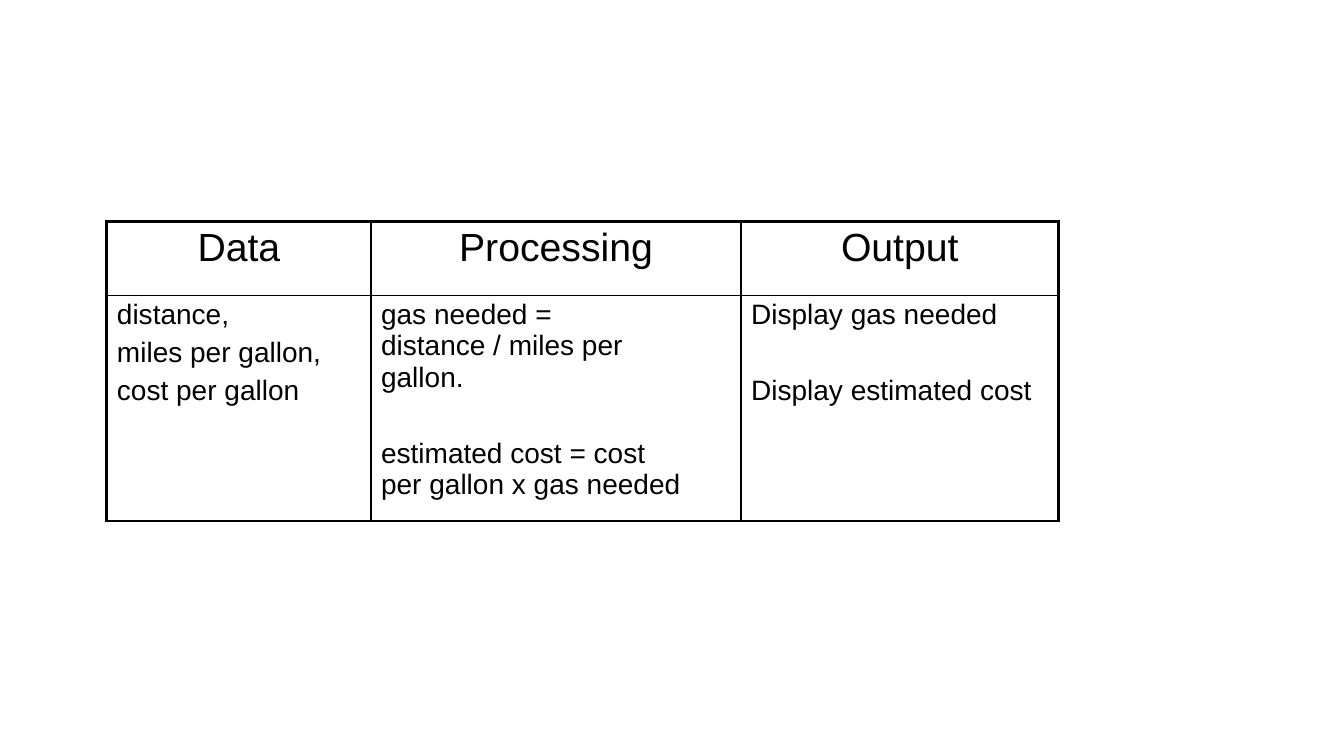
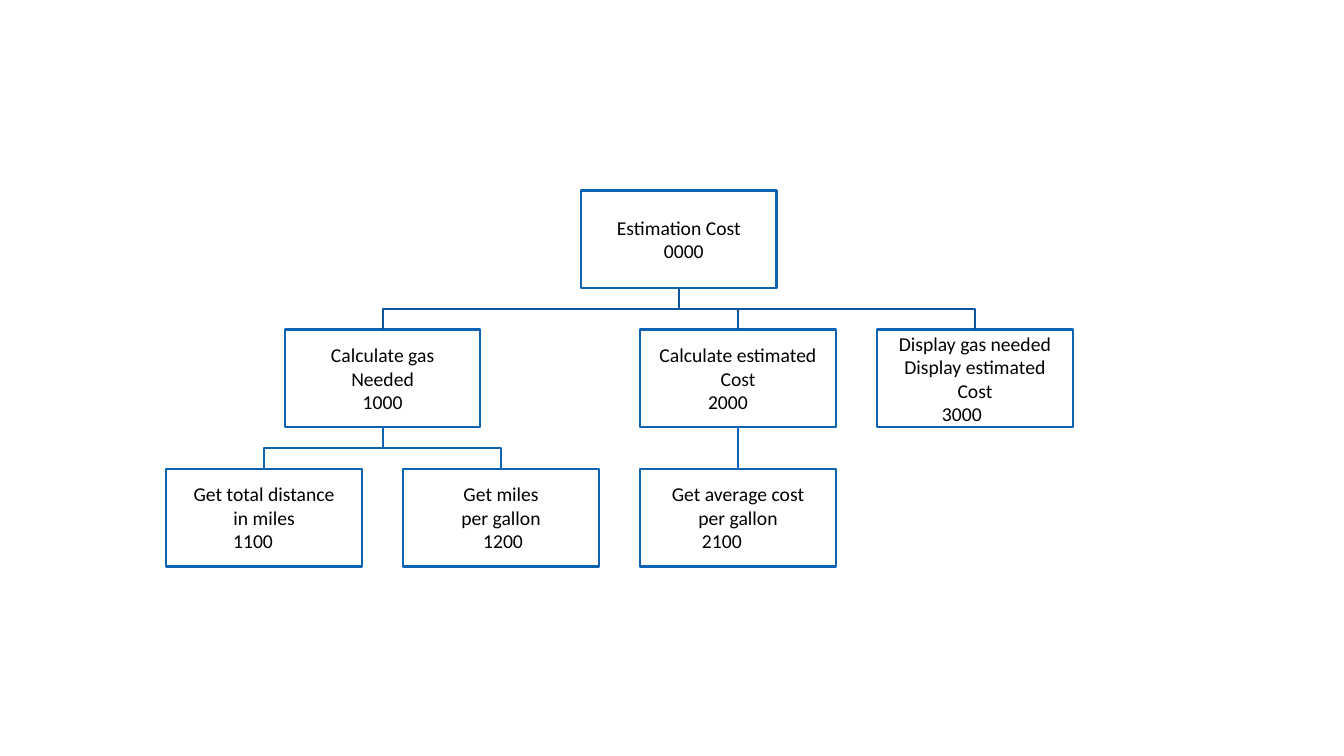
from dataclasses import dataclass
from lxml import etree
from pptx import Presentation
from pptx.dml.color import RGBColor
from pptx.enum.shapes import MSO_CONNECTOR, MSO_SHAPE
from pptx.enum.text import MSO_ANCHOR, PP_ALIGN
from pptx.oxml.ns import qn
from pptx.util import Emu, Inches, Pt

RECT, STRAIGHT = MSO_SHAPE.RECTANGLE, MSO_CONNECTOR.STRAIGHT
MIDDLE = MSO_ANCHOR.MIDDLE
LEFT, CENTER = PP_ALIGN.LEFT, PP_ALIGN.CENTER
BLACK, BLUE, DARK_BLUE = "000000", "0C63B3", "09569D"
BLANK_LAYOUT = 6

# Chart grid: places are columns and rows of equal boxes
BOX_W, BOX_H, GAP = 1.94, 0.97, 0.41
GRID_LEFT, GRID_TOP = 1.65, 1.89
CHART_LINE = 1.56

# Table
COL_WIDTHS, ROW_HEIGHTS = (2.62, 3.67, 3.15), (0.73, 2.24)
OUTER, INNER = 2.25, 1
HEADERS = ("Data", "Processing", "Output")


@dataclass(frozen=True)
class Column:
    """Body cell: its paragraphs and the space between them."""
    items: tuple[str, ...]
    gap: float


@dataclass(frozen=True)
class Module:
    """Box of the hierarchy chart; shift moves its number off centre."""
    label: str
    code: str
    col: float
    row: int
    shift: float = 0
    parent: str = ""


BODY = (
    Column(("distance,", "miles per gallon,", "cost per gallon"), 4.8),
    Column(("gas needed =\vdistance / miles per\vgallon.",
            "estimated cost = cost\vper gallon x gas needed"), 32),
    Column(("Display gas needed", "Display estimated cost"), 32),
)
MODULES = (
    Module("Estimation Cost", "0000", 1.75, 0, 0.05),
    Module("Calculate gas\vNeeded", "1000", 0.5, 1, 0, "0000"),
    Module("Calculate estimated\vCost", "2000", 2, 1, -0.1, "0000"),
    Module("Display gas needed\vDisplay estimated\vCost", "3000", 3, 1, -0.13, "0000"),
    Module("Get total distance\vin miles", "1100", 0, 2, -0.11, "1000"),
    Module("Get miles\vper gallon", "1200", 1, 2, 0.02, "1000"),
    Module("Get average cost\vper gallon", "2100", 2, 2, -0.16, "2000"),
)


def rgb(color: str) -> RGBColor:
    return RGBColor.from_string(color)


def write(p, text: str, *, size: float, font: str, align=LEFT,
          before: float = 0, left: float = 0, right: float = 0) -> None:
    """Fill a paragraph; a vertical tab in the text is a line break."""
    p.text, p.alignment = text, align
    p.space_before = Pt(before)
    ppr = p._p.get_or_add_pPr()
    ppr.set("marL", str(Inches(left)))
    ppr.set("marR", str(Inches(right)))
    for r in p.runs:
        r.font.size, r.font.name = Pt(size), font
        r.font.color.rgb = rgb(BLACK)


def set_borders(cell, **widths: float) -> None:
    """Give each side (L, R, T, B) a black line."""
    tcpr = cell._tc.get_or_add_tcPr()
    for side, width in widths.items():
        ln = etree.SubElement(tcpr, qn(f"a:ln{side}"), w=str(Pt(width)))
        fill = etree.SubElement(ln, qn("a:solidFill"))
        etree.SubElement(fill, qn("a:srgbClr"), val=BLACK)


def style_line(shape, color: str) -> None:
    shape.line.color.rgb = rgb(color)
    shape.line.width = Pt(CHART_LINE)


def add_ipo_table(s) -> None:
    """Data, processing and output of the program."""
    rows, cols = len(ROW_HEIGHTS), len(COL_WIDTHS)
    table = s.shapes.add_table(rows, cols, Inches(1.06), Inches(2.2),
                               Inches(sum(COL_WIDTHS)), Inches(sum(ROW_HEIGHTS))).table
    table.first_row = table.horz_banding = False
    for col, width in zip(table.columns, COL_WIDTHS):
        col.width = Inches(width)
    for row, height in zip(table.rows, ROW_HEIGHTS):
        row.height = Inches(height)

    # Frame and margins
    for i in range(rows):
        for j in range(cols):
            cell = table.cell(i, j)
            set_borders(cell, L=INNER if j else OUTER,
                        R=INNER if j < cols - 1 else OUTER,
                        T=INNER if i else OUTER,
                        B=INNER if i < rows - 1 else OUTER)
            cell.fill.background()
            cell.margin_left = cell.margin_right = cell.margin_bottom = 0
            cell.margin_top = Inches(0.04)

    # Text
    for j, (header, column) in enumerate(zip(HEADERS, BODY)):
        write(table.cell(0, j).text_frame.paragraphs[0], header,
              size=28, font="Arial", align=CENTER)
        tf = table.cell(1, j).text_frame
        for n, item in enumerate(column.items):
            p = tf.add_paragraph() if n else tf.paragraphs[0]
            write(p, item, size=20, font="Arial", left=0.1,
                  before=column.gap if n else 0)


def add_module(s, m: Module):
    sp = s.shapes.add_shape(RECT, Inches(GRID_LEFT + m.col * (BOX_W + GAP)),
                            Inches(GRID_TOP + m.row * (BOX_H + GAP)),
                            Inches(BOX_W), Inches(BOX_H))
    sp.shadow.inherit = False
    sp.fill.background()
    style_line(sp, BLUE)
    tf = sp.text_frame
    tf.word_wrap, tf.vertical_anchor = True, MIDDLE
    tf.margin_left = tf.margin_right = tf.margin_top = tf.margin_bottom = 0
    write(tf.paragraphs[0], m.label, size=14, font="Calibri", align=CENTER)
    write(tf.add_paragraph(), m.code, size=14, font="Calibri", align=CENTER,
          left=max(2 * m.shift, 0), right=max(-2 * m.shift, 0))
    return sp


def link(s, parent, child, color: str) -> None:
    """Join parent to child: straight when aligned, otherwise by an elbow."""
    x1, y1 = parent.left + parent.width // 2, parent.top + parent.height
    x2, y2 = child.left + child.width // 2, child.top
    if x1 == x2:
        line = s.shapes.add_connector(STRAIGHT, x1, y1, x2, y2)
        line.begin_connect(parent, 2)
        line.end_connect(child, 0)
        etree.SubElement(line._element.spPr, qn("a:effectLst"))
    else:
        middle = Emu((y1 + y2) // 2)
        builder = s.shapes.build_freeform(x1, y1)
        builder.add_line_segments([(x1, middle), (x2, middle), (x2, y2)], close=False)
        line = builder.convert_to_shape()
        line.shadow.inherit = False
        line.fill.background()
    style_line(line, color)


def add_hierarchy(s) -> None:
    boxes = {m.code: add_module(s, m) for m in MODULES}
    for m in MODULES:
        if m.parent:
            link(s, boxes[m.parent], boxes[m.code], DARK_BLUE if m.row == 1 else BLUE)


def main() -> None:
    prs = Presentation()
    prs.slide_width, prs.slide_height = Inches(13.33), Inches(7.5)
    for draw in (add_ipo_table, add_hierarchy):
        draw(prs.slides.add_slide(prs.slide_layouts[BLANK_LAYOUT]))
    prs.save("out.pptx")


if __name__ == "__main__":
    main()
